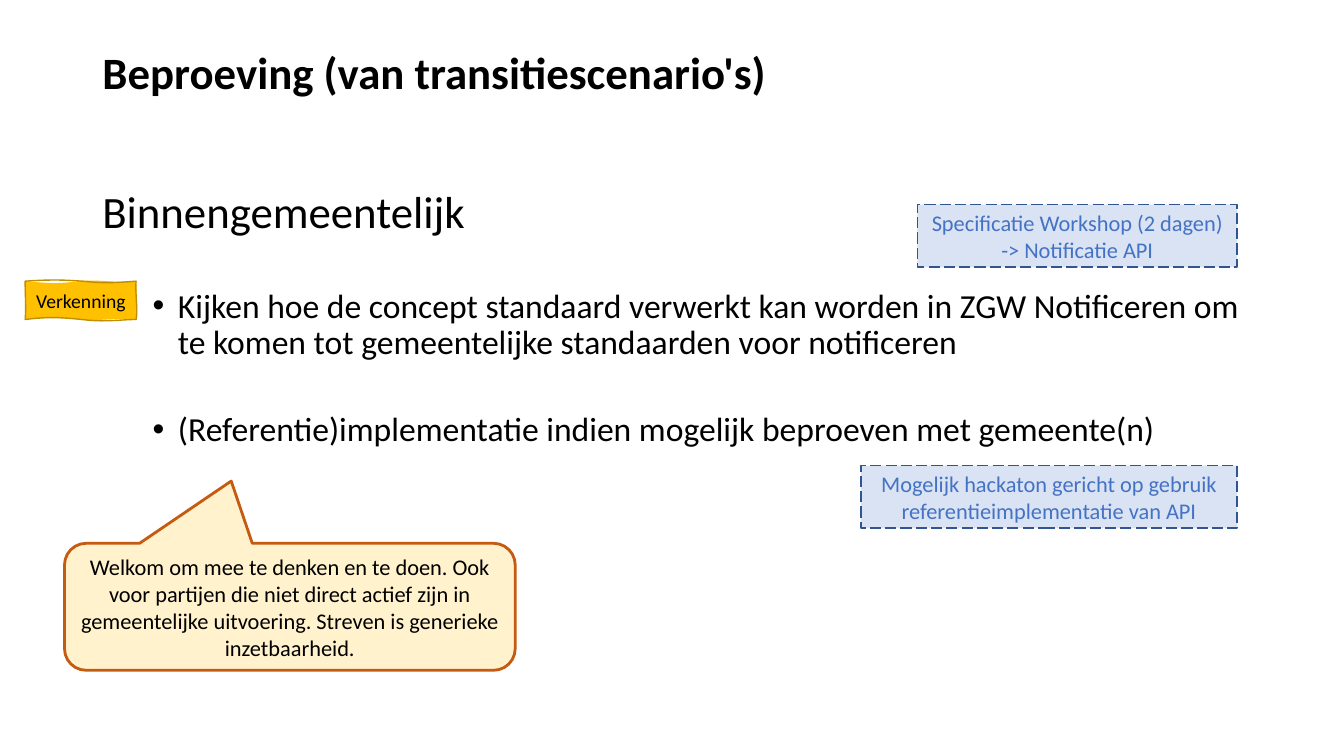
"""Build the slide on testing transition scenarios within municipalities."""
from lxml import etree
from pptx import Presentation
from pptx.dml.color import RGBColor
from pptx.enum.dml import MSO_LINE
from pptx.enum.shapes import MSO_SHAPE
from pptx.enum.text import MSO_ANCHOR, MSO_AUTO_SIZE, PP_ALIGN
from pptx.oxml.ns import qn
from pptx.util import Inches, Pt

RECTANGLE = MSO_SHAPE.RECTANGLE
CALLOUT = MSO_SHAPE.ROUNDED_RECTANGULAR_CALLOUT
LONG_DASH = MSO_LINE.LONG_DASH
TOP, MIDDLE = MSO_ANCHOR.TOP, MSO_ANCHOR.MIDDLE
LEFT, CENTER = PP_ALIGN.LEFT, PP_ALIGN.CENTER
NO_FIT = MSO_AUTO_SIZE.NONE

THEME = {
    "font": "Calibri",
    "heading": 32, "bullet": 24, "note": 16, "tape": 14,
    "ink": "000000", "note_ink": "4472C4",
    "note_fill": "DAE3F3", "note_line": "325491",
    "tape_fill": "FFC000", "tape_line": "BD8E00",
    "callout_fill": "FFF2CC", "callout_line": "C55A11",
}

deck = Presentation()
deck.slide_width, deck.slide_height = Inches(13.33), Inches(7.5)
slide = deck.slides.add_slide(deck.slide_layouts[5])
shapes = slide.shapes
cell = deck.slide_height / 90


def write(para, text, size, ink="ink", align=CENTER, bold=False):
    para.alignment = align
    span = para.add_run()
    span.text = text
    values = {"name": THEME["font"], "size": Pt(THEME[size]), "bold": bold}
    for name, value in values.items():
        setattr(span.font, name, value)
    span.font.color.rgb = RGBColor.from_string(THEME[ink])


def dress(shape, fill, line, weight=1):
    shape.shadow.inherit = False
    if fill:
        shape.fill.solid()
        shape.fill.fore_color.rgb = RGBColor.from_string(THEME[fill])
    else:
        shape.fill.background()
    if line:
        shape.line.color.rgb = RGBColor.from_string(THEME[line])
        shape.line.width = Pt(weight)
    else:
        shape.line.fill.background()
    shape.text_frame.word_wrap = True
    shape.text_frame.vertical_anchor = MIDDLE


margin, measure = 11, 138
title = shapes.title
body = shapes.add_textbox(0, 0, 0, 0)
for box, row, rows, anchor in ((title, 4.8, 8.3, MIDDLE), (body, 22, 59, TOP)):
    place = {"left": margin, "top": row, "width": measure, "height": rows}
    for name, value in place.items():
        setattr(box, name, round(value * cell))
    frame_format = {"word_wrap": True, "auto_size": NO_FIT, "vertical_anchor": anchor}
    for name, value in frame_format.items():
        setattr(box.text_frame, name, value)

heading = title.text_frame.paragraphs[0]
heading.line_spacing = 0.9
write(heading, "Beproeving (van transitiescenario's)", "heading", align=LEFT, bold=True)

subheading = body.text_frame.paragraphs[0]
subheading.line_spacing = 0.9
write(subheading, "Binnengemeentelijk", "heading", align=LEFT)

bullets = (
    "Kijken hoe de concept standaard verwerkt kan worden in ZGW Notificeren om "
    "te komen tot gemeentelijke standaarden voor notificeren",
    "(Referentie)implementatie indien mogelijk beproeven met gemeente(n)",
)
for text in bullets:
    para = body.text_frame.add_paragraph()
    para.line_spacing, para.space_before = 0.9, Pt(36.4)
    properties = para._p.get_or_add_pPr()
    properties.set("marL", str(Inches(0.75)))
    properties.set("indent", str(-Inches(0.25)))
    etree.SubElement(properties, qn("a:buFont")).set("typeface", "Arial")
    etree.SubElement(properties, qn("a:buChar")).set("char", "•")
    write(para, text, "bullet", align=LEFT)

notes_right, note_rows = 147.24, 7.44
notes = (
    (24.36, 38.04, "Specificatie Workshop (2 dagen) -> Notificatie API"),
    (55.44, 44.76, "Mogelijk hackaton gericht op gebruik referentieimplementatie van API"),
)
for row, columns, text in notes:
    place = (notes_right - columns, row, columns, note_rows)
    note = shapes.add_shape(RECTANGLE, *(round(value * cell) for value in place))
    dress(note, "note_fill", "note_line")
    note.line.dash_style = LONG_DASH
    write(note.text_frame.paragraphs[0], text, "note", "note_ink")

tape_start = (3, 33.48)
tape_fill_curves = (
    ((5.76, 33.72), (6.6, 33.84), (9.48, 33.48)),
    ((12.48, 33.24), (12.96, 33.72), (16.2, 33.48)),
    ((16.2, 34.92), (16.32, 36.6), (16.2, 38.04)),
    ((13.32, 37.8), (12.12, 38.28), (9.6, 38.04)),
    ((7.2, 37.8), (5.28, 37.8), (3, 38.04)),
    ((3.12, 36.24), (2.88, 35.04), tape_start),
)
tape_line_curves = (
    ((6.36, 33.24), (7.8, 33.36), (9.84, 33.48)),
    ((11.88, 33.72), (13.44, 33.72), (16.2, 33.48)),
    ((16.08, 34.92), (16.44, 36.96), (16.2, 38.04)),
    ((14.52, 38.04), (12.48, 38.4), (9.72, 38.04)),
    ((7.08, 37.8), (6, 37.68), (3, 38.04)),
    ((3.12, 36.72), (3, 35.04), tape_start),
)
steps = 10
for curves, fill, line in (
    (tape_fill_curves, "tape_fill", None),
    (tape_line_curves, None, "tape_line"),
):
    start, points = tape_start, []
    for first, second, end in curves:
        for step in range(1, steps + 1):
            t = step / steps
            weights = ((1 - t) ** 3, 3 * t * (1 - t) ** 2, 3 * t * t * (1 - t), t ** 3)
            points.append(tuple(
                cell * sum(weight * value for weight, value in zip(weights, axis))
                for axis in zip(start, first, second, end)
            ))
        start = end
    outline = shapes.build_freeform(*(value * cell for value in tape_start))
    outline.add_line_segments(points, close=True)
    tape = outline.convert_to_shape()
    dress(tape, fill, line)
tape.text_frame.word_wrap = False
write(tape.text_frame.paragraphs[0], "Verkenning", "tape")

place = (7.68, 64.68, 53.64, 15.12)
callout = shapes.add_shape(CALLOUT, *(round(value * cell) for value in place))
for index, value in enumerate((-0.13, -0.99, 0.17)):
    callout.adjustments[index] = value
dress(callout, "callout_fill", "callout_line", 2)
write(
    callout.text_frame.paragraphs[0],
    "Welkom om mee te denken en te doen. Ook voor partijen die niet direct actief "
    "zijn in gemeentelijke uitvoering. Streven is generieke inzetbaarheid.",
    "note",
)

deck.save("out.pptx")
